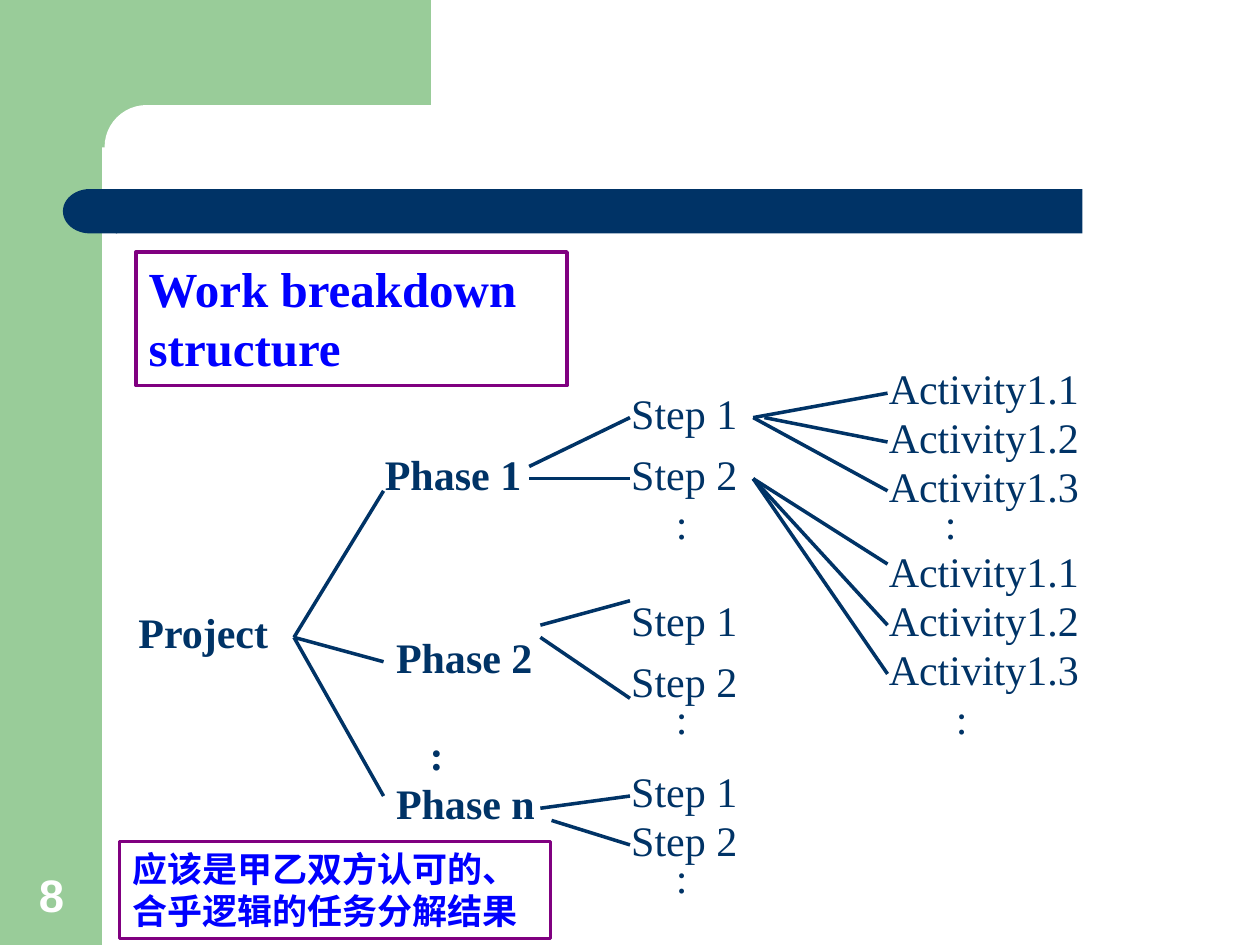
from dataclasses import dataclass

from lxml.etree import SubElement
from pptx import Presentation
from pptx.dml.color import RGBColor as RGB
from pptx.enum.shapes import MSO_CONNECTOR as CONN, MSO_SHAPE as SHAPE
from pptx.enum.text import MSO_ANCHOR as ANCHOR, MSO_AUTO_SIZE as AUTO, PP_ALIGN as ALIGN
from pptx.oxml.ns import qn
from pptx.util import Inches, Pt


@dataclass(frozen=True)
class Theme:
    green: RGB = RGB(0x99, 0xCC, 0x99)
    navy: RGB = RGB(0x00, 0x33, 0x66)
    white: RGB = RGB(0xFF, 0xFF, 0xFF)
    blue: RGB = RGB(0x00, 0x00, 0xFF)
    purple: RGB = RGB(0x80, 0x00, 0x80)
    serif: str = "Times New Roman"
    sans: str = "Arial"
    title: int = 28
    number: int = 26
    node: int = 24
    note: int = 20
    line: int = 2


T = Theme()
COLS, ROWS = 90, 45
STEP_COL, ACTIVITY_COL = 44, 67
PHASES = [("Project", 0, 20), ("Phase 1", 22, 7), ("Phase 2", 23, 22),
          ("Phase n", 23, 34), (":", 26, 30)]
STEPS = [("Step 1", 2), ("Step 2", 7), ("Step 1", 19), ("Step 2", 24),
         ("Step 1", 33), ("Step 2", 37)]
ACTIVITY_ROWS = [(0, 4, 8), (15, 19, 23)]
DOTS = [(48, 11), (48, 27), (48, 40), (72, 11), (73, 27)]
BRANCHES = [
    ((15, 23), [(23, 11), (23, 25), (23, 36)]),
    ((36, 9), [(45, 5)]),
    ((36, 10), [(45, 10)]),
    ((37, 22), [(45, 20)]),
    ((37, 23), [(45, 28)]),
    ((37, 37), [(45, 36)]),
    ((38, 38), [(45, 40)]),
    ((56, 5), [(68, 3), (68, 11)]),
    ((57, 5), [(68, 7)]),
    ((56, 10), [(68, 17), (68, 22), (68, 26)]),
]


def place(sp, box):
    sp.left, sp.top, sp.width, sp.height = (Inches(v) for v in box)


def write(sp, text, size, color, bold=False, font=T.serif, anchor=ANCHOR.TOP):
    tf = sp.text_frame
    tf.text = text
    tf.word_wrap = True
    tf.auto_size = AUTO.NONE
    tf.vertical_anchor = anchor
    p = tf.paragraphs[0]
    p.alignment = ALIGN.LEFT
    f = p.runs[0].font
    f.name, f.size, f.bold = font, Pt(size), bold
    f.color.rgb = color


def add_text(slide, box, *args, **kwargs):
    sp = slide.shapes.add_textbox(*(Inches(v) for v in box))
    write(sp, *args, **kwargs)


def add_block(slide, kind, box, color):
    sp = slide.shapes.add_shape(kind, *(Inches(v) for v in box))
    sp.shadow.inherit = False
    sp.fill.solid()
    sp.fill.fore_color.rgb = color
    sp.line.fill.background()
    return sp


def add_line(slide, start, end):
    ln = slide.shapes.add_connector(CONN.STRAIGHT, *(Inches(v) for v in start + end))
    ln.line.color.rgb = T.navy
    ln.line.width = Pt(T.line)
    SubElement(ln._element.spPr, qn("a:effectLst"))


def frame(sp):
    sp.fill.background()
    sp.line.color.rgb = T.purple
    sp.line.width = Pt(T.line)


def backdrop(slide, box):
    x, y, w, h = box
    add_block(slide, SHAPE.RECTANGLE, (x, y, 0.081 * w, h), T.green)
    add_block(slide, SHAPE.RECTANGLE, (x + 0.073 * w, y, 0.269 * w, 0.156 * h), T.green)
    panel = add_block(slide, SHAPE.ROUNDED_RECTANGLE,
                      (x + 0.083 * w, y + h / 9, 0.558 * w, 0.089 * h), T.white)
    panel.adjustments[0] = 0.5
    bar_y, bar_h = y + 0.2 * h, 0.047 * h
    add_block(slide, SHAPE.RECTANGLE, (x + 0.092 * w, bar_y, 0.767 * w, bar_h), T.navy)
    cap = add_block(slide, SHAPE.FLOWCHART_DELAY,
                    (x + 0.05 * w, bar_y, 0.043 * w, bar_h), T.navy)
    cap._element.spPr.xfrm.set("flipH", "1")


def title(slide, box):
    sp = slide.shapes.title
    place(sp, box)
    frame(sp)
    write(sp, "Work breakdown structure", T.title, T.blue, bold=True)


def note(slide, box):
    sp = add_block(slide, SHAPE.RECTANGLE, box, T.white)
    frame(sp)
    write(sp, "应该是甲乙双方认可的、合乎逻辑的任务分解结果", T.note, T.blue, bold=True)


def breakdown_tree(slide, box):
    x, y, w, h = box
    dx, dy = w / COLS, h / ROWS

    def at(col, row):
        return x + col * dx, y + row * dy

    def label(text, col, row, bold=False):
        cols = 7 if text == ":" else 23
        add_text(slide, at(col, row) + (cols * dx, 0.5), text, T.node, T.navy, bold)

    for text, col, row in PHASES:
        label(text, col, row, bold=True)
    for text, row in STEPS:
        label(text, STEP_COL, row)
    for rows in ACTIVITY_ROWS:
        for i, row in enumerate(rows, 1):
            label(f"Activity1.{i}", ACTIVITY_COL, row)
    for col, row in DOTS:
        label(":", col, row)
    for start, ends in BRANCHES:
        for end in ends:
            add_line(slide, at(*start), at(*end))


def main():
    prs = Presentation()
    prs.slide_width, prs.slide_height = Inches(10), Inches(7.5)
    slide = prs.slides.add_slide(prs.slide_layouts[5])
    backdrop(slide, (0, 0, 10, 7.5))
    add_text(slide, (0.09, 6.83, 0.64, 0.53), "8", T.number, T.white,
             bold=True, font=T.sans, anchor=ANCHOR.BOTTOM)
    slide.shapes[-1].text_frame.paragraphs[0].alignment = ALIGN.CENTER
    breakdown_tree(slide, (1, 2.83, 8, 4.36))
    title(slide, (1.08, 2, 3.42, 1.06))
    note(slide, (0.95, 6.68, 3.42, 0.77))
    prs.save("out.pptx")


if __name__ == "__main__":
    main()
